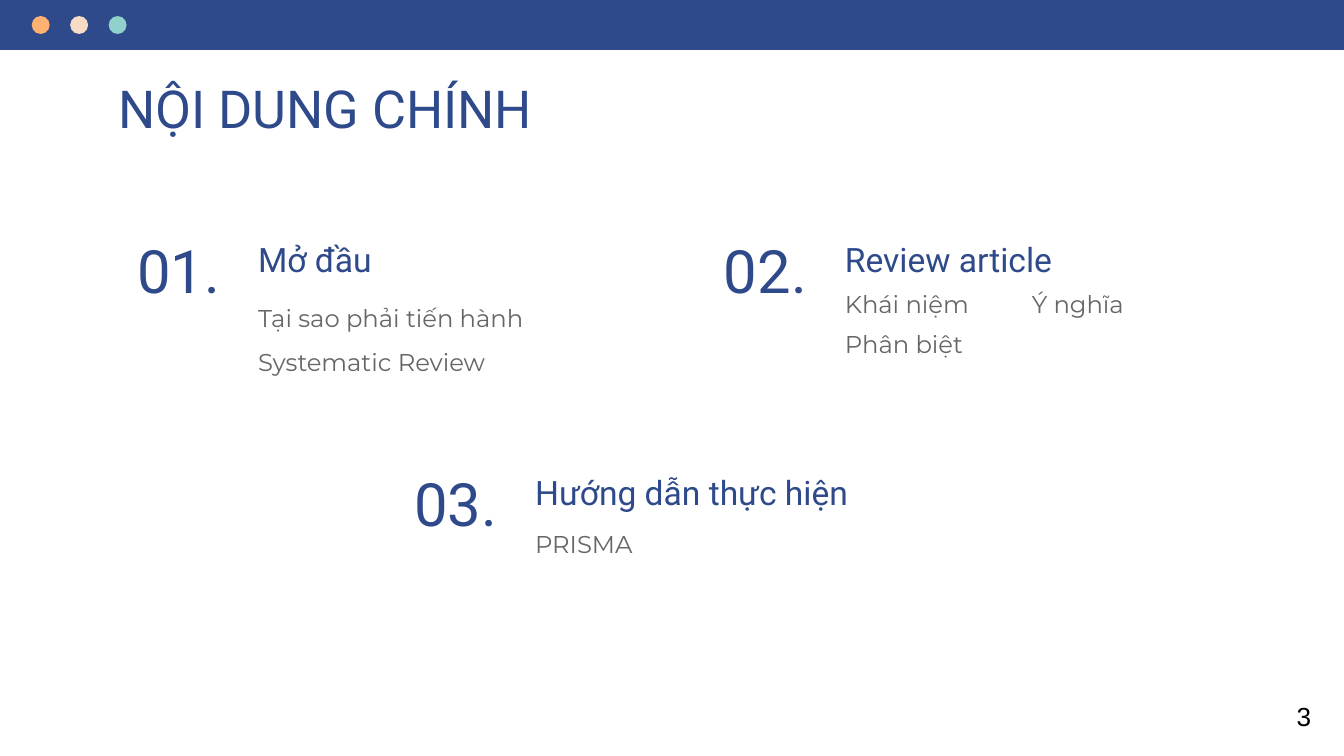
from pptx import Presentation
from pptx.dml.color import RGBColor
from pptx.enum.shapes import MSO_SHAPE
from pptx.enum.text import MSO_ANCHOR, PP_ALIGN
from pptx.util import Pt

NAVY = RGBColor(0x2F, 0x4A, 0x8A)
GRAY = RGBColor(0x66, 0x66, 0x66)
BLACK = RGBColor(0, 0, 0)
ORANGE = RGBColor(0xFF, 0xB1, 0x72)
CREAM = RGBColor(0xF8, 0xDB, 0xC4)
TEAL = RGBColor(0x90, 0xD1, 0xCB)


def add_text(s, box, lines, size, color=NAVY, font="Roboto", align=None,
             anchor=MSO_ANCHOR.TOP, after=0, spacing=1, columns=1):
    """Place a wrapped text box with one paragraph per line."""
    tf = s.shapes.add_textbox(*map(Pt, box)).text_frame
    tf.word_wrap = True
    tf.vertical_anchor = anchor
    tf.margin_left = tf.margin_right = tf.margin_top = tf.margin_bottom = Pt(7.2)
    if columns > 1:
        tf._txBody.bodyPr.set("numCol", str(columns))
    for i, line in enumerate(lines):
        p = tf.paragraphs[0] if i == 0 else tf.add_paragraph()
        p.alignment = align
        p.space_after = Pt(after)
        p.line_spacing = spacing
        r = p.add_run()
        r.text = line
        r.font.name = font
        r.font.size = Pt(size)
        r.font.color.rgb = color


def add_plain(s, kind, box, color):
    """Place a filled shape without line or shadow."""
    sp = s.shapes.add_shape(kind, *map(Pt, box))
    sp.shadow.inherit = False
    sp.fill.solid()
    sp.fill.fore_color.rgb = color
    sp.line.fill.background()


def add_top_bar(s, x, y, w, h):
    """Place the window bar and its three dots."""
    add_plain(s, MSO_SHAPE.RECTANGLE, (x, y, w, h), NAVY)
    dot = 9.6
    for i, color in enumerate((ORANGE, CREAM, TEAL)):
        box = (x + 17 + i * 20.6, y + (h - dot) / 2, dot, dot)
        add_plain(s, MSO_SHAPE.OVAL, box, color)


def add_item(s, x, y, number, heading, body, body_dy, body_w, **style):
    """Place a numbered agenda item with its heading and body."""
    num_w = 71
    add_text(s, (x, y + 4, num_w, 46), [number], 32,
             align=PP_ALIGN.CENTER, anchor=MSO_ANCHOR.BOTTOM)
    add_text(s, (x + num_w, y, 212, 36.5), [heading], 18)
    add_text(s, (x + num_w, y + body_dy, body_w, 46), body, 13, GRAY,
             "Montserrat", **style)


def add_agenda(s, w, h):
    """Place every part of the agenda slide."""
    add_top_bar(s, 0, 0, w, 26.8)
    add_text(s, (56.2, 33.8, w - 112.4, 36.5), ["NỘI DUNG CHÍNH"], 28)
    add_item(s, 60.2, 121, "01.", "Mở đầu",
             ["Tại sao phải tiến hành Systematic Review"],
             26.6, 210, after=12, spacing=1.5)
    add_item(s, 374.5, 121, "02.", "Review article",
             ["Khái niệm", "Phân biệt", "Ý nghĩa"],
             26.6, 214.5, after=6, columns=2)
    add_item(s, 208.6, 245.5, "03.", "Hướng dẫn thực hiện", ["PRISMA"],
             31, 258, after=12, columns=2)
    add_text(s, (w - 32.4, h - 33.4, 24, 24.5), ["3"], 14, BLACK, "Arial",
             anchor=MSO_ANCHOR.MIDDLE)


def main():
    """Build and save the presentation."""
    prs = Presentation()
    w, h = 720, 405
    prs.slide_width, prs.slide_height = Pt(w), Pt(h)
    s = prs.slides.add_slide(prs.slide_layouts[6])
    add_agenda(s, w, h)
    prs.save("out.pptx")


if __name__ == "__main__":
    main()
